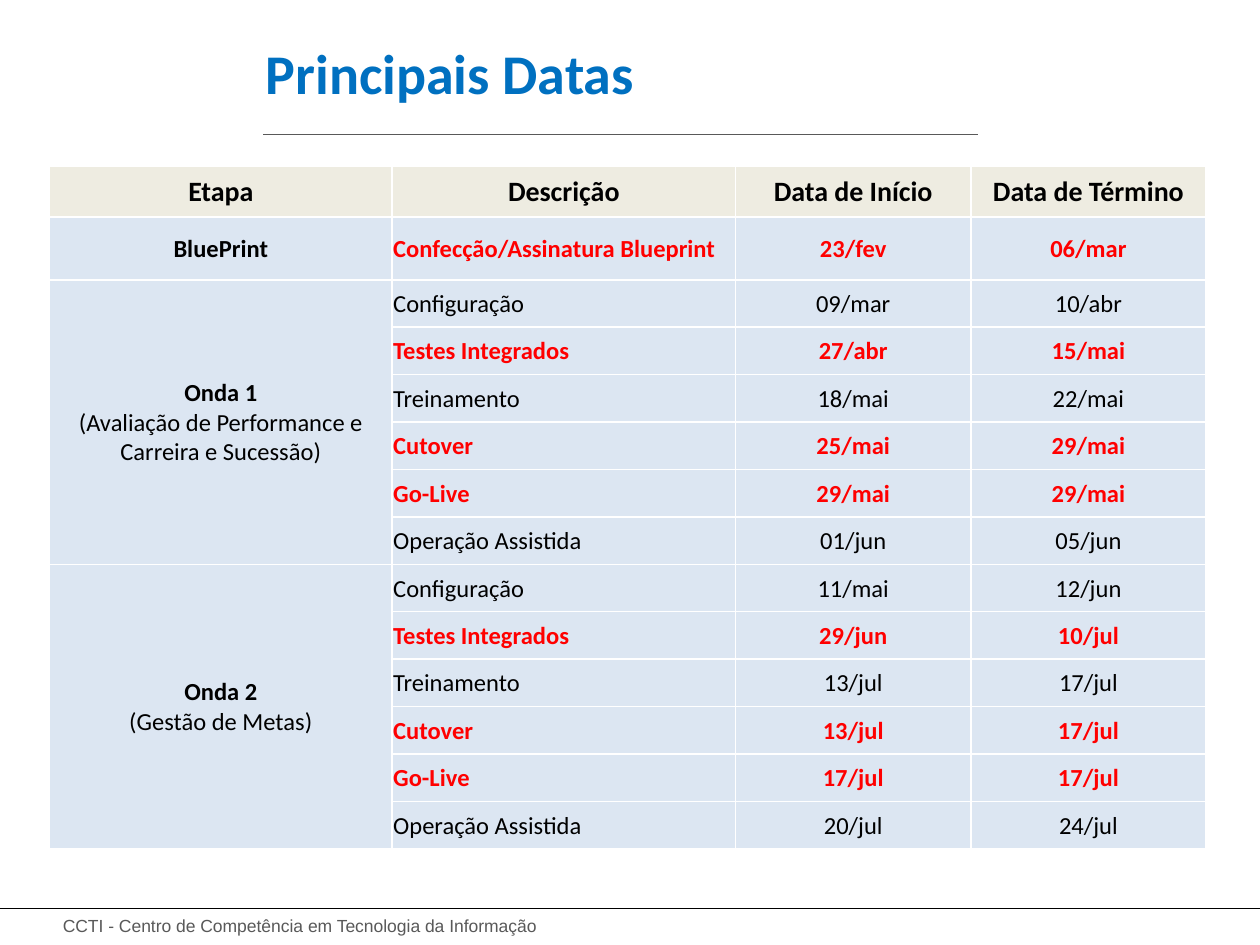
import pptx
import pptx.util
import pptx.dml.color
import pptx.enum.shapes
import pptx.enum.text
import pptx.oxml
import pptx.oxml.ns
import lxml.etree

Pt = pptx.util.Pt
ALIGN = pptx.enum.text.PP_ALIGN
MIDDLE = pptx.enum.text.MSO_ANCHOR.MIDDLE

TITLE = "Principais Datas"
FOOTER = "CCTI - Centro de Competência em Tecnologia da Informação"
HEADERS = ["Etapa", "Descrição", "Data de Início", "Data de Término"]
STEPS = ["Configuração", "Testes Integrados", "Treinamento", "Cutover", "Go-Live", "Operação Assistida"]
KEY_STEPS = {"Confecção/Assinatura Blueprint", "Testes Integrados", "Cutover", "Go-Live"}
STAGES = [
    ("BluePrint", "", ["Confecção/Assinatura Blueprint"], [("23/fev", "06/mar")]),
    ("Onda 1", "(Avaliação de Performance e Carreira e Sucessão)", STEPS,
     [("09/mar", "10/abr"), ("27/abr", "15/mai"), ("18/mai", "22/mai"),
      ("25/mai", "29/mai"), ("29/mai", "29/mai"), ("01/jun", "05/jun")]),
    ("Onda 2", "(Gestão de Metas)", STEPS,
     [("11/mai", "12/jun"), ("29/jun", "10/jul"), ("13/jul", "17/jul"),
      ("13/jul", "17/jul"), ("17/jul", "17/jul"), ("20/jul", "24/jul")]),
]
COLUMN_WIDTHS = [195.6, 196.4, 134.4, 134.4]
ROW_HEIGHTS = [29.3, 36] + [27.1] * 12
HEADER_FILL, BODY_FILL, GRID = "EEECE1", "DCE6F2", "FFFFFF"
BLACK, RED, BLUE, GRAY = "000000", "FF0000", "0070C0", "595959"


def color(value):
    return pptx.dml.color.RGBColor.from_string(value)


def add_text(para, text, size=14, tint=BLACK, bold=False, font="Calibri", align=ALIGN.LEFT):
    para.alignment = align
    span = para.add_run()
    span.text = text
    span.font.name = font
    span.font.size = Pt(size)
    span.font.bold = bold
    span.font.color.rgb = color(tint)


def add_box(page, left, top, width, height):
    frame = page.shapes.add_textbox(Pt(left), Pt(top), Pt(width), Pt(height)).text_frame
    frame.word_wrap = True
    return frame


def add_rule(page, left, right, top, tint, weight):
    rule = page.shapes.add_connector(
        pptx.enum.shapes.MSO_CONNECTOR.STRAIGHT, Pt(left), Pt(top), Pt(right), Pt(top))
    rule.line.color.rgb = color(tint)
    rule.line.width = Pt(weight)
    lxml.etree.SubElement(rule._element.spPr, pptx.oxml.ns.qn("a:effectLst"))


def style_cell(cell, fill, top_weight):
    cell.vertical_anchor = MIDDLE
    cell.margin_left = cell.margin_right = cell.margin_top = Pt(0.7)
    cell.margin_bottom = 0
    properties = cell._tc.get_or_add_tcPr()
    for side, weight in (("L", 1), ("R", 1), ("T", top_weight), ("B", 1)):
        properties.append(pptx.oxml.parse_xml(
            f'<a:ln{side} {pptx.oxml.ns.nsdecls("a")} w="{Pt(weight)}">'
            f'<a:solidFill><a:srgbClr val="{GRID}"/></a:solidFill></a:ln{side}>'))
    cell.fill.solid()
    cell.fill.fore_color.rgb = color(fill)


def add_schedule(page):
    table = page.shapes.add_table(
        len(ROW_HEIGHTS), len(COLUMN_WIDTHS), Pt(28.4), Pt(94.6),
        Pt(sum(COLUMN_WIDTHS)), Pt(sum(ROW_HEIGHTS))).table
    table.horz_banding = False
    for column, width in zip(table.columns, COLUMN_WIDTHS):
        column.width = Pt(width)
    for index, height in enumerate(ROW_HEIGHTS):
        table.rows[index].height = Pt(height)
        for cell in table.rows[index].cells:
            style_cell(cell, BODY_FILL if index else HEADER_FILL, 1 if index else 1.5)

    for index, header in enumerate(HEADERS):
        add_text(table.cell(0, index).text_frame.paragraphs[0], header,
                 size=16, bold=True, align=ALIGN.CENTER)

    row = 1
    for name, detail, steps, dates in STAGES:
        stage = table.cell(row, 0)
        if len(steps) > 1:
            stage.merge(table.cell(row + len(steps) - 1, 0))
        add_text(stage.text_frame.paragraphs[0], name, bold=True, align=ALIGN.CENTER)
        if detail:
            add_text(stage.text_frame.add_paragraph(), detail, align=ALIGN.CENTER)
        for step, (start, end) in zip(steps, dates):
            key = step in KEY_STEPS
            for column, text in enumerate((step, start, end), 1):
                add_text(table.cell(row, column).text_frame.paragraphs[0], text,
                         tint=RED if key else BLACK, bold=key,
                         align=ALIGN.LEFT if column == 1 else ALIGN.CENTER)
            row += 1


def main():
    deck = pptx.Presentation()
    deck.slide_width, deck.slide_height = Pt(720), Pt(540)
    page = deck.slides.add_slide(deck.slide_layouts[6])

    footer = add_box(page, 28.8, 519.1, 354.2, 19.4)
    add_text(footer.paragraphs[0], FOOTER, size=10, tint=GRAY, font="Arial")
    add_rule(page, 0, 720, 519.1, BLACK, 0.75)
    add_rule(page, 150.5, 558.7, 77, GRAY, 0.5)

    title = add_box(page, 144.7, 10.1, 447.1, 62.6)
    title.vertical_anchor = MIDDLE
    add_text(title.paragraphs[0], TITLE, size=32, tint=BLUE, bold=True)

    add_schedule(page)
    deck.save("out.pptx")


if __name__ == "__main__":
    main()
